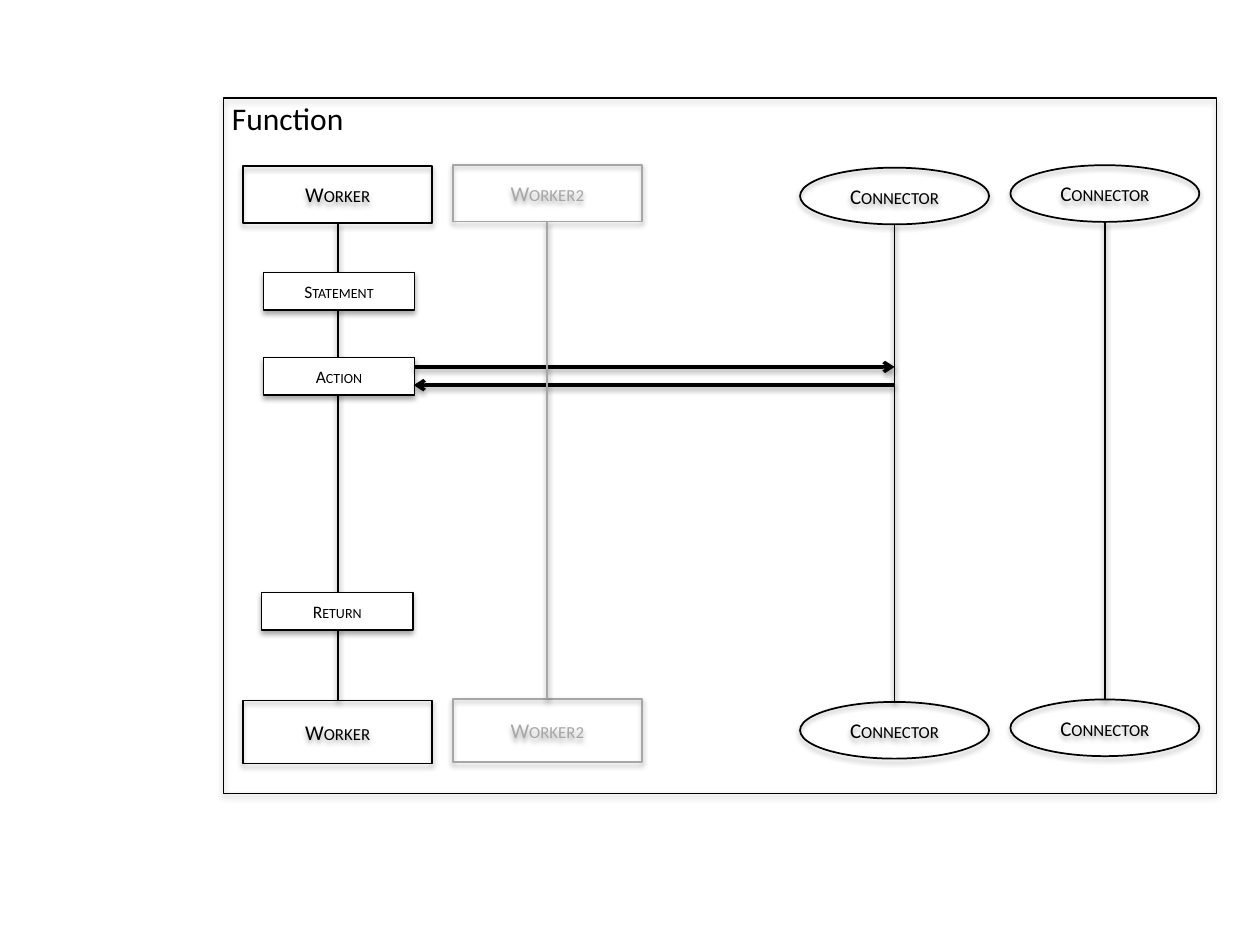
"""Builds a sequence diagram slide with worker and connector lifelines inside a function frame."""
from lxml.etree import SubElement
from pptx import Presentation
from pptx.dml.color import RGBColor
from pptx.enum.shapes import MSO_CONNECTOR, MSO_SHAPE
from pptx.enum.text import MSO_ANCHOR, MSO_AUTO_SIZE, PP_ALIGN
from pptx.oxml.ns import qn
from pptx.util import Pt

BLACK, GREY, WHITE = "000000", "A6A6A6", "FFFFFF"
RECT, OVAL = MSO_SHAPE.RECTANGLE, MSO_SHAPE.OVAL

MAIN_LANES = [
    ("Worker", RECT, 139, 95, 36, BLACK),
    ("Connector", OVAL, 457.2, 95.8, 32.4, BLACK),
    ("Connector", OVAL, 577.4, 94.4, 32.4, BLACK),
]
SECOND_WORKER = ("Worker2", RECT, 258.8, 94.2, 36, GREY)
STEPS = [("Return", 149.6, 338.4), ("Statement", 150.6, 155.6), ("Action", 150.6, 204.2)]
MESSAGES = [(236.4, 511.2, 209.7), (511.2, 236.4, 220.1)]
FRAME = (127.6, 56, 567.4, 397.6)
LABEL = ("Function", 125.4, 53.2, 82, 29)

HEAD_W, HEAD_H, LANE_SPAN = 108, 32.4, 305.3
STEP_W, STEP_H = 86.4, 21.6


def color(value):
    return RGBColor.from_string(value)


def add_shadow(effects, alpha, dist):
    shadow = SubElement(effects, qn("a:outerShdw"), blurRad=str(Pt(3.1)), dist=str(Pt(dist)),
                        dir="5400000", rotWithShape="0")
    rgb = SubElement(shadow, qn("a:srgbClr"), val=BLACK)
    SubElement(rgb, qn("a:alpha"), val=str(alpha * 1000))


def write(sp, text, size=12, ink=BLACK, align=PP_ALIGN.CENTER, anchor=MSO_ANCHOR.MIDDLE,
          small_caps=True, wrap=True):
    tf = sp.text_frame
    tf.word_wrap = wrap
    tf.vertical_anchor = anchor
    p = tf.paragraphs[0]
    p.alignment = align
    r = p.add_run()
    r.text = text
    r.font.name = "Calibri"
    r.font.size = Pt(size)
    r.font.color.rgb = color(ink)
    if small_caps:
        r.font._element.set("cap", "small")


def add_box(shapes, kind, x, y, w, h, ink=BLACK, width=1, fill=None):
    sp = shapes.add_shape(kind, Pt(x), Pt(y), Pt(w), Pt(h))
    if fill:
        sp.fill.solid()
        sp.fill.fore_color.rgb = color(fill)
    else:
        sp.fill.background()
    sp.line.color.rgb = color(ink)
    sp.line.width = Pt(width)
    sp.shadow.inherit = False
    add_shadow(sp._element.spPr.find(qn("a:effectLst")), 35, 1.8)
    return sp


def add_line(shapes, x1, y1, x2, y2, ink=BLACK, width=1, arrow=False):
    cn = shapes.add_connector(MSO_CONNECTOR.STRAIGHT, Pt(x1), Pt(y1), Pt(x2), Pt(y2))
    cn.line.color.rgb = color(ink)
    cn.line.width = Pt(width)
    if arrow:
        SubElement(cn.line._get_or_add_ln(), qn("a:tailEnd"), type="arrow")
    add_shadow(SubElement(cn._element.spPr, qn("a:effectLst")), 38, 1.6)
    return cn


def add_lane(shapes, name, kind, x, y, foot_h, ink):
    foot_y, mid = y + LANE_SPAN, x + HEAD_W / 2
    head = add_box(shapes, kind, x, y, HEAD_W, HEAD_H, ink)
    foot = add_box(shapes, kind, x, foot_y, HEAD_W, foot_h, ink)
    for sp in (head, foot):
        write(sp, name, ink=ink)
    lifeline = add_line(shapes, mid, y + HEAD_H, mid, foot_y, ink)
    if kind == RECT:
        lifeline.begin_connect(head, 2)
        lifeline.end_connect(foot, 0)


def main():
    prs = Presentation()
    prs.slide_width, prs.slide_height = Pt(720), Pt(540)
    shapes = prs.slides.add_slide(prs.slide_layouts[6]).shapes

    for lane in MAIN_LANES:
        add_lane(shapes, *lane)
    for name, x, y in STEPS:
        step = add_box(shapes, RECT, x, y, STEP_W, STEP_H, width=0.75, fill=WHITE)
        write(step, name, size=10)
    for start, end, y in MESSAGES:
        add_line(shapes, start, y, end, y, width=2, arrow=True)
    add_lane(shapes, *SECOND_WORKER)
    add_box(shapes, RECT, *FRAME, width=0.75)

    text, *place = LABEL
    label = shapes.add_textbox(*map(Pt, place))
    write(label, text, size=18, align=PP_ALIGN.LEFT, anchor=MSO_ANCHOR.TOP,
          small_caps=False, wrap=False)
    label.text_frame.auto_size = MSO_AUTO_SIZE.SHAPE_TO_FIT_TEXT

    prs.save("out.pptx")


if __name__ == "__main__":
    main()
